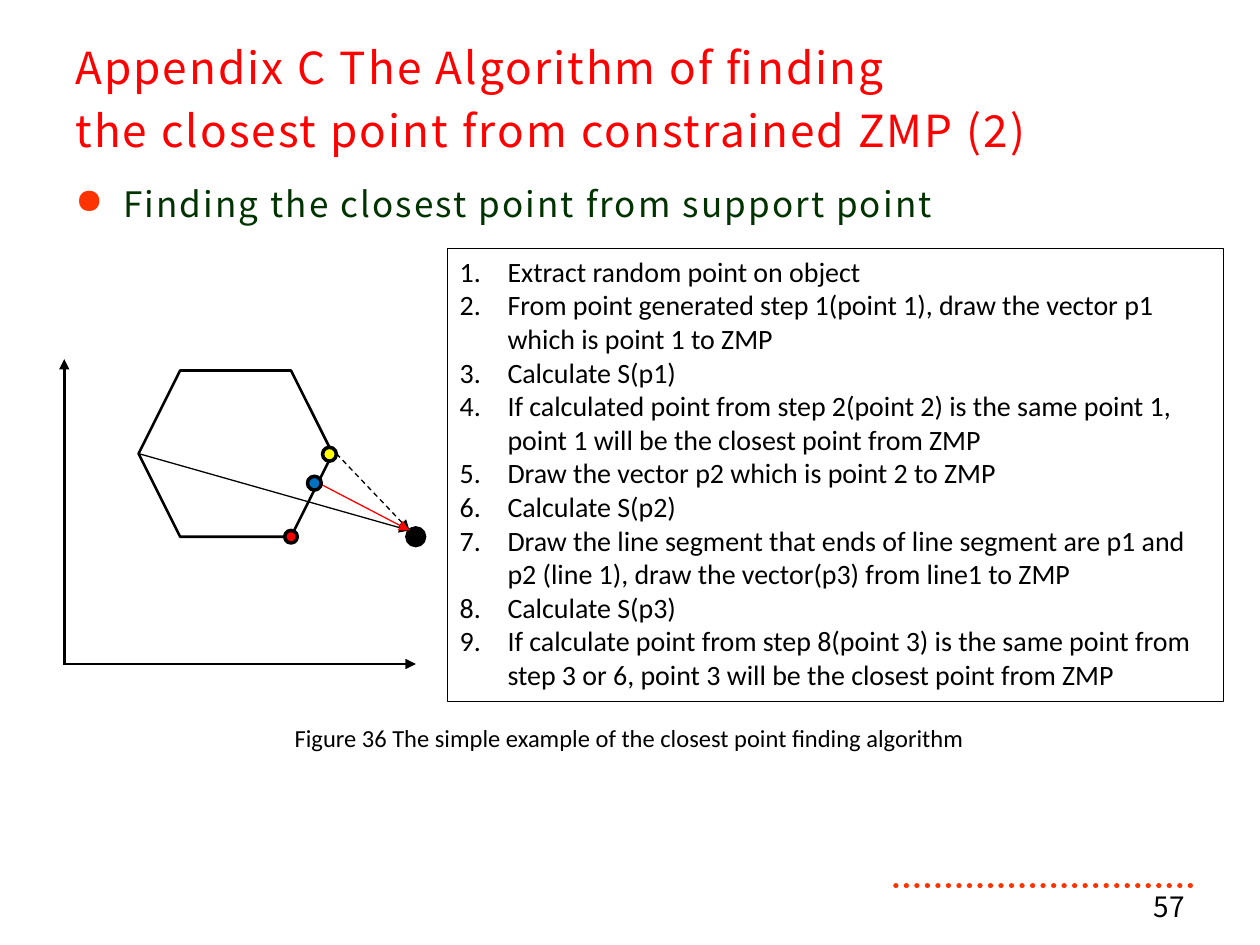
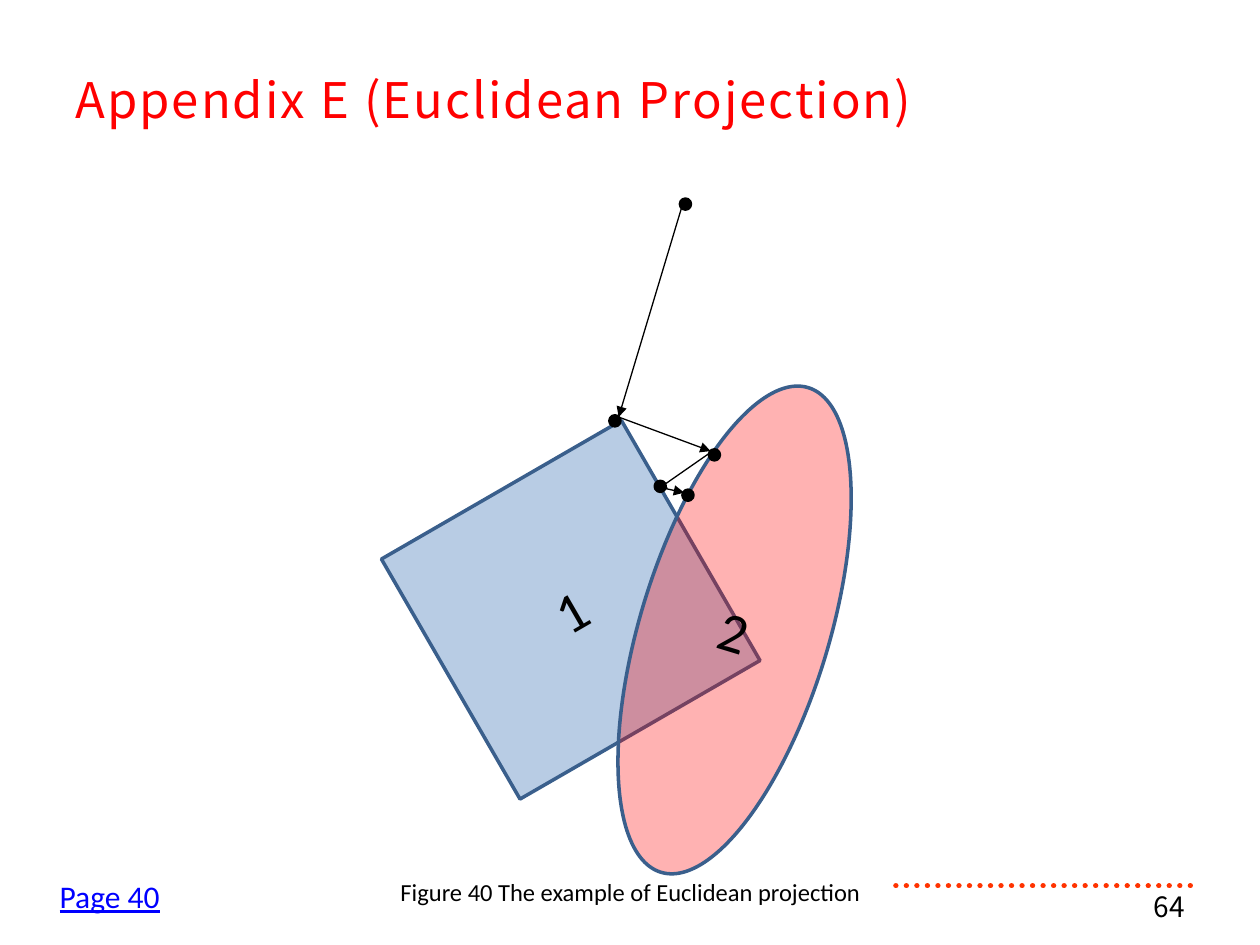
from dataclasses import dataclass
from typing import Any, Optional

from lxml import etree
from pptx import Presentation
from pptx.dml.color import RGBColor
from pptx.enum.dml import MSO_LINE
from pptx.enum.shapes import MSO_CONNECTOR, MSO_SHAPE
from pptx.enum.text import MSO_ANCHOR, PP_ALIGN
from pptx.oxml.ns import qn
from pptx.util import Inches, Pt

LEFT, CENTER, RIGHT = PP_ALIGN.LEFT, PP_ALIGN.CENTER, PP_ALIGN.RIGHT
TOP, MIDDLE = MSO_ANCHOR.TOP, MSO_ANCHOR.MIDDLE
RECTANGLE, OVAL, HEXAGON = MSO_SHAPE.RECTANGLE, MSO_SHAPE.OVAL, MSO_SHAPE.HEXAGON
STRAIGHT = MSO_CONNECTOR.STRAIGHT
DASH, DOTS = MSO_LINE.DASH, MSO_LINE.ROUND_DOT

BLACK = RGBColor(0x00, 0x00, 0x00)
RED = RGBColor(0xFF, 0x00, 0x00)
ORANGE = RGBColor(0xFF, 0x33, 0x00)
GREEN = RGBColor(0x00, 0x33, 0x00)
YELLOW = RGBColor(0xFF, 0xFF, 0x00)
BLUE = RGBColor(0x00, 0x70, 0xC0)
LINK_BLUE = RGBColor(0x00, 0x00, 0xFF)
STEEL = RGBColor(0x4F, 0x81, 0xBD)
NAVY = RGBColor(0x3A, 0x5F, 0x8C)

COLUMNS, ROWS = 100, 75
WIDTH, HEIGHT = Inches(10), Inches(7.5)
HANGING = 3.8
HEADING_FONT, BODY_FONT = "Noto Sans CJK JP", "Calibri"


@dataclass(frozen=True)
class Area:
    column: float
    row: float
    columns: float
    rows: float


@dataclass(frozen=True)
class TextStyle:
    font: dict[str, Any]
    color: RGBColor = BLACK
    align: PP_ALIGN = LEFT
    anchor: MSO_ANCHOR = TOP
    line_spacing: Optional[float] = None
    tracking: int = 0
    bullet: str = ""
    wrap: bool = True


@dataclass(frozen=True)
class Region:
    kind: MSO_SHAPE
    area: Area
    line: RGBColor = BLACK
    weight: float = 2
    fill: Optional[RGBColor] = None
    opacity: int = 100
    rotation: float = 0


@dataclass(frozen=True)
class Stroke:
    start: tuple[float, float]
    end: tuple[float, float]
    color: RGBColor = BLACK
    weight: float = 0.75
    dash: Optional[MSO_LINE] = None
    arrow: bool = True


@dataclass(frozen=True)
class Point:
    column: float
    row: float
    size: float = 0.8
    fill: RGBColor = BLACK


def heading(size: float) -> TextStyle:
    return TextStyle({"name": HEADING_FONT, "size": Pt(size)}, RED,
                     anchor=MIDDLE, line_spacing=1.2, tracking=120)


TOPIC = TextStyle({"name": HEADING_FONT, "size": Pt(20)}, GREEN,
                  line_spacing=1.2, tracking=120, bullet="●")
PAGE_NUMBER = TextStyle({"name": HEADING_FONT, "size": Pt(16)}, align=RIGHT, anchor=MIDDLE)
STEP = TextStyle({"name": BODY_FONT, "size": Pt(16)}, bullet="number")
CAPTION = TextStyle({"name": BODY_FONT, "size": Pt(14)}, align=CENTER, wrap=False)
SET_LABEL = TextStyle({"name": BODY_FONT, "size": Pt(32)}, align=CENTER, anchor=MIDDLE)
PAGE_REFERENCE = TextStyle({"name": BODY_FONT, "size": Pt(18), "underline": True},
                           LINK_BLUE, CENTER)

TITLE_AREA = Area(5, 3.1, 90, 8.6)
TOPIC_AREA = Area(5, 13.3, 90, 8.6)
NUMBER_AREA = Area(71.7, 70.3, 23.3, 3.2)
FOOTER_RULE = Stroke((71.1, 70.3), (95.3, 70.3), ORANGE, 3, DOTS, arrow=False)

STEPS = [
    "Extract random point on object",
    "From point generated step 1(point 1), draw the vector p1 which is point 1 to ZMP",
    "Calculate S(p1)",
    "If calculated point from step 2(point 2) is the same point 1, "
    "point 1 will be the closest point from ZMP",
    "Draw the vector p2 which is point 2 to ZMP",
    "Calculate S(p2)",
    "Draw the line segment that ends of line segment are p1 and p2 (line 1), "
    "draw the vector(p3) from line1 to ZMP",
    "Calculate S(p3)",
    "If calculate point from step 8(point 3) is the same point from step 3 or 6, "
    "point 3 will be the closest point from ZMP",
]

ZMP = Point(33, 42.6, 1.4)
ZMP_EDGE = (32.5, 42.1)
AXES = [
    Stroke((5.1, 52.6), (5.1, 28.5), weight=1.5),
    Stroke((5, 52.7), (33, 52.7), weight=1.5),
]
VECTORS = [
    Stroke((11, 36), ZMP_EDGE),
    Stroke((26.7, 36), ZMP_EDGE, dash=DASH),
    Stroke((25.4, 38.4), ZMP_EDGE, RED),
]
SUPPORT_POINTS = [
    Point(26.15, 36.05, 1.1, YELLOW),
    Point(23.1, 42.6, 1, RED),
    Point(24.95, 38.35, 1.1, BLUE),
]

SETS = {
    "1": Region(RECTANGLE, Area(34.3, 37.4, 22, 22), NAVY, 2, STEEL, 40, 330),
    "2": Region(OVAL, Area(50.8, 29.9, 15, 40.2), NAVY, 2, RED, 30, 16.9),
}
PROJECTED_POINTS = [Point(54.4, 16.2), Point(48.8, 33.4), Point(56.7, 36.1),
                    Point(52.4, 38.6), Point(54.6, 39.3)]
PROJECTIONS = [
    Stroke((54.3, 15.8), (49.1, 33.1)),
    Stroke((49.1, 33.1), (56.4, 35.8)),
    Stroke((56.7, 35.7), (52.1, 38.9)),
    Stroke((52, 38.6), (54.3, 39.1)),
]


def x(columns: float) -> int:
    return round(WIDTH * columns / COLUMNS)


def y(rows: float) -> int:
    return round(HEIGHT * rows / ROWS)


def box(area: Area) -> tuple[int, int, int, int]:
    return x(area.column), y(area.row), x(area.columns), y(area.rows)


def add_bullet(paragraph: Any, bullet: str) -> None:
    properties = paragraph._p.get_or_add_pPr()
    properties.set("marL", str(x(HANGING)))
    properties.set("indent", str(-x(HANGING)))
    if bullet == "number":
        etree.SubElement(properties, qn("a:buAutoNum"), type="arabicPeriod")
        return
    tint = etree.SubElement(properties, qn("a:buClr"))
    etree.SubElement(tint, qn("a:srgbClr"), val=str(ORANGE))
    etree.SubElement(properties, qn("a:buChar"), char=bullet)


def write(shape: Any, lines: list[str], style: TextStyle) -> None:
    frame = shape.text_frame
    frame.word_wrap = style.wrap
    frame.vertical_anchor = style.anchor
    for index, line in enumerate(lines):
        paragraph = frame.add_paragraph() if index else frame.paragraphs[0]
        paragraph.text = line
        if style.bullet:
            add_bullet(paragraph, style.bullet)
        for attribute, value in {"alignment": style.align,
                                 "line_spacing": style.line_spacing}.items():
            setattr(paragraph, attribute, value)
        for run in paragraph.runs:
            for attribute, value in style.font.items():
                setattr(run.font, attribute, value)
            run.font.color.rgb = style.color
            if style.tracking:
                run._r.get_or_add_rPr().set("spc", str(style.tracking))


def add_text(slide: Any, area: Area, text: str, style: TextStyle) -> None:
    write(slide.shapes.add_textbox(*box(area)), [text], style)


def draw_region(slide: Any, region: Region) -> Any:
    shape = slide.shapes.add_shape(region.kind, *box(region.area))
    shape.shadow.inherit = False
    shape.rotation = region.rotation
    shape.line.color.rgb = region.line
    shape.line.width = Pt(region.weight)
    if region.fill is None:
        shape.fill.background()
        return shape
    shape.fill.solid()
    shape.fill.fore_color.rgb = region.fill
    if region.opacity < 100:
        tint = shape._element.spPr.find(qn("a:solidFill"))[0]
        etree.SubElement(tint, qn("a:alpha"), val=str(region.opacity * 1000))
    return shape


def draw_point(slide: Any, point: Point) -> None:
    area = Area(point.column - point.size / 2, point.row - point.size / 2,
                point.size, point.size)
    draw_region(slide, Region(OVAL, area, fill=point.fill))


def draw_stroke(slide: Any, stroke: Stroke) -> None:
    (x1, y1), (x2, y2) = stroke.start, stroke.end
    connector = slide.shapes.add_connector(STRAIGHT, x(x1), y(y1), x(x2), y(y2))
    connector.line.color.rgb = stroke.color
    connector.line.width = Pt(stroke.weight)
    if stroke.dash is not None:
        connector.line.dash_style = stroke.dash
    properties = connector._element.spPr
    outline = properties.find(qn("a:ln"))
    if stroke.dash == DOTS:
        outline.set("cap", "rnd")
    if stroke.arrow:
        etree.SubElement(outline, qn("a:tailEnd"), type="triangle")
    etree.SubElement(properties, qn("a:effectLst"))


def start_slide(deck: Any, title: str, title_size: float, number: int) -> Any:
    slide = deck.slides.add_slide(deck.slide_layouts[6])
    draw_stroke(slide, FOOTER_RULE)
    add_text(slide, TITLE_AREA, title, heading(title_size))
    add_text(slide, NUMBER_AREA, str(number), PAGE_NUMBER)
    return slide


def build_closest_point(deck: Any) -> None:
    title = ("Appendix C The Algorithm of finding\v"
             "the closest point from constrained ZMP (2)")
    slide = start_slide(deck, title, 25.2, 57)
    add_text(slide, TOPIC_AREA, "Finding the closest point from support point", TOPIC)
    draw_region(slide, Region(HEXAGON, Area(11, 29.4, 15.4, 13.2), weight=1.5))
    draw_point(slide, ZMP)
    for stroke in AXES + VECTORS:
        draw_stroke(slide, stroke)
    for point in SUPPORT_POINTS:
        draw_point(slide, point)
    algorithm = draw_region(slide, Region(RECTANGLE, Area(35.5, 19.7, 61.6, 36), weight=0.75))
    write(algorithm, STEPS, STEP)
    add_text(slide, Area(17.7, 56.9, 64.5, 3.4),
             "Figure 36 The simple example of the closest point finding algorithm", CAPTION)


def build_projection(deck: Any) -> None:
    slide = start_slide(deck, "Appendix E (Euclidean Projection)", 28, 64)
    for label, region in SETS.items():
        write(draw_region(slide, region), [label], SET_LABEL)
    for point in PROJECTED_POINTS:
        draw_point(slide, point)
    for projection in PROJECTIONS:
        draw_stroke(slide, projection)
    add_text(slide, Area(30.6, 69.1, 38.9, 3.4),
             "Figure 40 The example of Euclidean projection", CAPTION)
    add_text(slide, Area(2, 69.1, 13.4, 4), "Page 40", PAGE_REFERENCE)


def main() -> None:
    deck = Presentation()
    deck.slide_width, deck.slide_height = WIDTH, HEIGHT
    build_closest_point(deck)
    build_projection(deck)
    deck.save("out.pptx")


if __name__ == "__main__":
    main()
